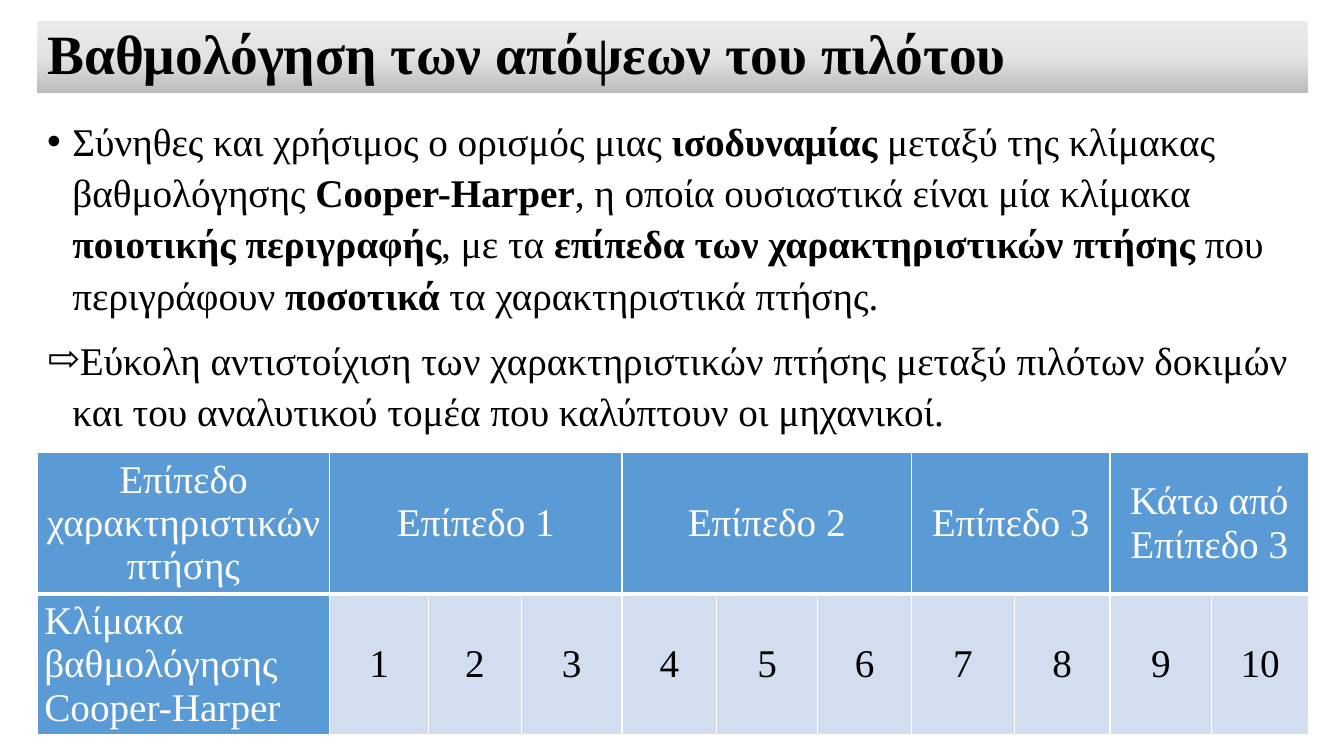
import copy
import pptx
import pptx.util
import pptx.dml.color
import pptx.enum.shapes
import pptx.enum.text
import pptx.oxml

FONT = "Times New Roman"
WIDE, HIGH = 13.33, 7.5
LEFT, SPAN = 0.37, 12.6
TITLE = "Βαθμολόγηση των απόψεων του πιλότου"
SHADES = [(0, "EBEAEA"), (0.5, "E4E3E3"), (1, "BDBCBC")]
# Each point: bullet, bullet font, runs of (text, bold)
POINTS = [
    ("•", "Arial", [
        ("Σύνηθες και χρήσιμος ο ορισμός μιας ", False),
        ("ισοδυναμίας", True),
        (" μεταξύ της κλίμακας βαθμολόγησης ", False),
        ("Cooper-Harper", True),
        (", η οποία ουσιαστικά είναι μία κλίμακα ", False),
        ("ποιοτικής περιγραφής", True),
        (", με τα ", False),
        ("επίπεδα των χαρακτηριστικών πτήσης ", True),
        ("που περιγράφουν ", False),
        ("ποσοτικά", True),
        (" τα χαρακτηριστικά πτήσης.", False)]),
    ("⇨", FONT, [
        ("Εύκολη αντιστοίχιση των χαρακτηριστικών πτήσης μεταξύ πιλότων "
         "δοκιμών και του αναλυτικού τομέα που καλύπτουν οι μηχανικοί.", False)]),
]
# Each level: label, number of columns it covers
LEVELS = [("Επίπεδο χαρακτηριστικών πτήσης", 1), ("Επίπεδο 1", 3),
          ("Επίπεδο 2", 3), ("Επίπεδο 3", 2), ("Κάτω από Επίπεδο 3", 2)]
SCALE = ["Κλίμακα βαθμολόγησης Cooper-Harper"] + [str(n) for n in range(1, 11)]
COLS = [2.9, 0.98, 0.92, 1, 0.94, 1, 0.93, 1.02, 0.95, 1.01, 0.96]
ROW = 1.1
BLUE, PALE, WHITE, BLACK = "5B9BD5", "D2DEEF", "FFFFFF", "000000"

inch = pptx.util.Inches
align = pptx.enum.text.PP_ALIGN
anchor = pptx.enum.text.MSO_ANCHOR


def color(code):
    return pptx.dml.color.RGBColor.from_string(code)


def add_run(para, text, size, code, bold=False):
    run = para.add_run()
    run.text = text
    run.font.name = FONT
    run.font.size = pptx.util.Pt(size)
    run.font.bold = bold
    run.font.color.rgb = color(code)


def add_node(parent, body):
    """Append a drawing element, given without its namespace."""
    head, tail = body.split(" ", 1)
    space = 'xmlns:a="http://schemas.openxmlformats.org/drawingml/2006/main"'
    parent.append(pptx.oxml.parse_xml(f"<a:{head} {space} {tail}"))


def add_title(slide):
    bar = slide.shapes.add_shape(
        pptx.enum.shapes.MSO_SHAPE.RECTANGLE,
        inch(LEFT), inch(0.21), inch(SPAN), inch(0.71))
    bar.shadow.inherit = False
    bar.line.fill.background()
    bar.fill.gradient()
    bar.fill.gradient_angle = 270
    stops = bar.fill._fill._gradFill.gsLst
    stops.append(copy.deepcopy(stops[-1]))
    for stop, (place, code) in zip(bar.fill.gradient_stops, SHADES):
        stop.position = place
        stop.color.rgb = color(code)
    bar.text_frame.word_wrap = True
    bar.text_frame.vertical_anchor = anchor.MIDDLE
    para = bar.text_frame.paragraphs[0]
    para.alignment = align.LEFT
    para.line_spacing = 0.9
    add_run(para, TITLE, 39.6, BLACK, True)


def add_points(slide):
    frame = slide.shapes.add_textbox(
        inch(LEFT), inch(1.07), inch(SPAN), inch(3.31)).text_frame
    frame.word_wrap = True
    for i, (mark, face, runs) in enumerate(POINTS):
        para = frame.add_paragraph() if i else frame.paragraphs[0]
        para.line_spacing = 1.09
        if i:
            para.space_before = pptx.util.Pt(10)
        props = para._p.get_or_add_pPr()
        props.set("marL", str(inch(0.25)))
        props.set("indent", str(-inch(0.25)))
        add_node(props, f'buFont typeface="{face}"/>')
        add_node(props, f'buChar char="{mark}"/>')
        for text, bold in runs:
            add_run(para, text, 28, BLACK, bold)


def fill_cell(cell, text, fill, ink, side, base):
    """Set text, fill and white borders; base is the lower border in points."""
    cell.margin_left = cell.margin_right = inch(0.07)
    cell.margin_top = cell.margin_bottom = 0
    cell.vertical_anchor = anchor.MIDDLE
    para = cell.text_frame.paragraphs[0]
    para.alignment = side
    if text:
        add_run(para, text, 28, ink)
    props = cell._tc.get_or_add_tcPr()
    for edge, width in zip("LRTB", (1, 1, 1, base)):
        add_node(props, f'ln{edge} w="{pptx.util.Pt(width)}"><a:solidFill>'
                 f'<a:srgbClr val="{WHITE}"/></a:solidFill></a:ln{edge}>')
    cell.fill.solid()
    cell.fill.fore_color.rgb = color(fill)


def add_grid(slide):
    table = slide.shapes.add_table(
        2, len(COLS), inch(LEFT), inch(4.49), inch(SPAN), inch(2 * ROW)).table
    for col, width in zip(table.columns, COLS):
        col.width = inch(width)
    start = 0
    for label, count in LEVELS:
        for c in range(start, start + count):
            text = label if c == start else ""
            fill_cell(table.cell(0, c), text, BLUE, WHITE, align.CENTER, 3)
        if count > 1:
            table.cell(0, start).merge(table.cell(0, start + count - 1))
        start += count
    for c, text in enumerate(SCALE):
        look = (PALE, BLACK, align.CENTER) if c else (BLUE, WHITE, align.LEFT)
        fill_cell(table.cell(1, c), text, *look, 1)


def main():
    deck = pptx.Presentation()
    deck.slide_width, deck.slide_height = inch(WIDE), inch(HIGH)
    slide = deck.slides.add_slide(deck.slide_layouts[6])
    add_title(slide)
    add_points(slide)
    add_grid(slide)
    deck.save("out.pptx")


if __name__ == "__main__":
    main()
